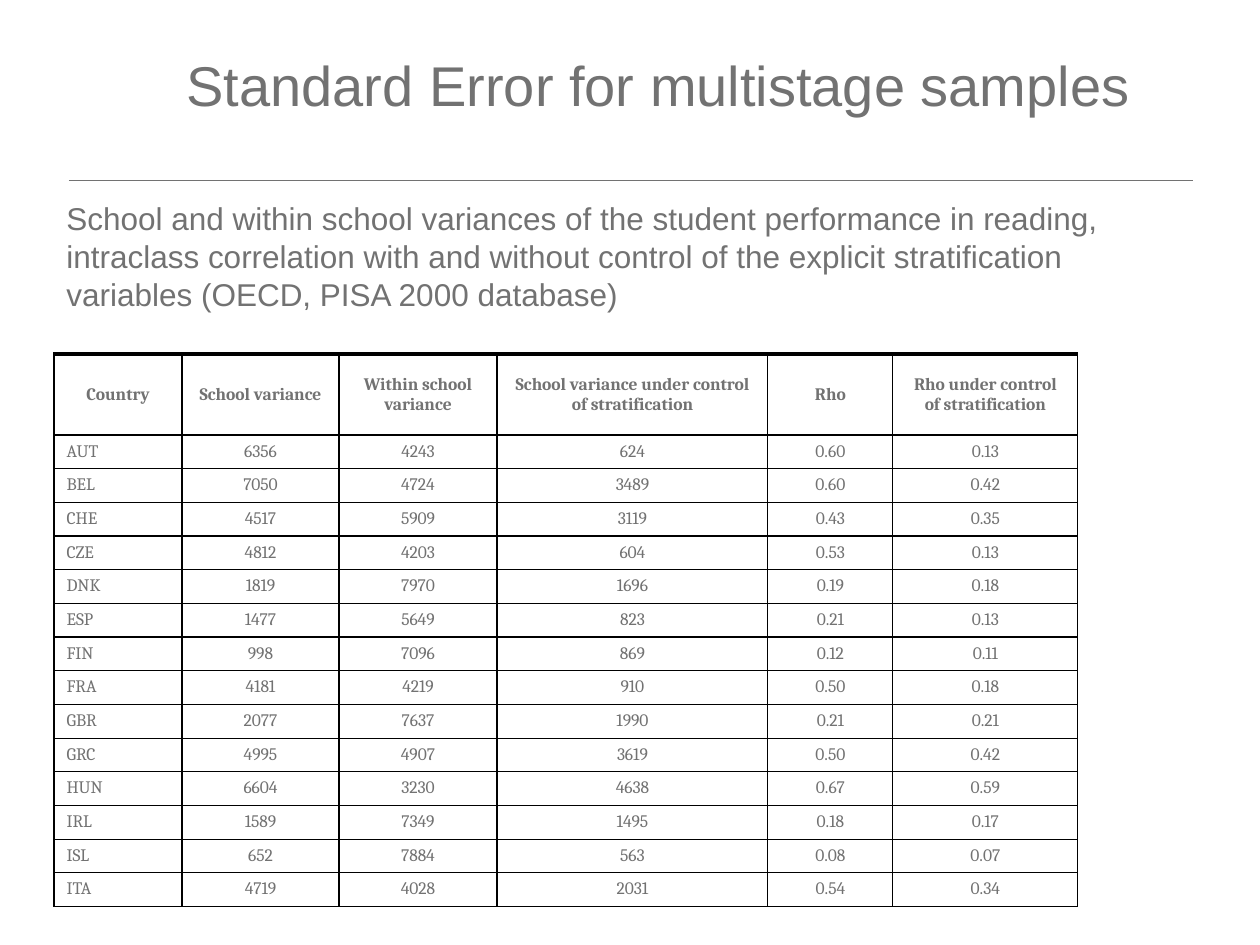
"""Build a slide with a table of school variances by country."""
from lxml import etree
from pptx import Presentation
from pptx import util as u
from pptx.dml.color import RGBColor
from pptx.enum import shapes, text
from pptx.oxml import ns

PX = 914400 // 126
GREY = "727272"
COLUMN_WIDTHS = [128, 157, 158, 271, 125, 185]
HEADER_HEIGHT, ROW_HEIGHT, TABLE_HEIGHT = 81, 27, 551
HEADERS = ["Country", "School variance", "Within school variance",
           "School variance under control of stratification", "Rho",
           "Rho under control of stratification"]
COUNTRIES = """AUT 6356 4243 624 0.60 0.13
BEL 7050 4724 3489 0.60 0.42
CHE 4517 5909 3119 0.43 0.35
CZE 4812 4203 604 0.53 0.13
DNK 1819 7970 1696 0.19 0.18
ESP 1477 5649 823 0.21 0.13
FIN 998 7096 869 0.12 0.11
FRA 4181 4219 910 0.50 0.18
GBR 2077 7637 1990 0.21 0.21
GRC 4995 4907 3619 0.50 0.42
HUN 6604 3230 4638 0.67 0.59
IRL 1589 7349 1495 0.18 0.17
ISL 652 7884 563 0.08 0.07
ITA 4719 4028 2031 0.54 0.34"""


def format_text(text_frame, font_name, size, color, alignment, bold=False):
    for paragraph in text_frame.paragraphs:
        paragraph.alignment = alignment
        for run in paragraph.runs:
            run.font.name = font_name
            run.font.size = u.Pt(size)
            run.font.bold = bold
            run.font.color.rgb = RGBColor.from_string(color)


def set_borders(cell, color, widths):
    properties = cell._tc.get_or_add_tcPr()
    for position, (side, width) in enumerate(widths.items()):
        line = etree.Element(ns.qn(f"a:ln{side}"), w=str(u.Pt(width)))
        fill = etree.SubElement(line, ns.qn("a:solidFill"))
        etree.SubElement(fill, ns.qn("a:srgbClr"), val=color)
        properties.insert(position, line)


presentation = Presentation()
presentation.slide_width = 1260 * PX
presentation.slide_height = 945 * PX
slide = presentation.slides.add_slide(presentation.slide_layouts[5])

rule = slide.shapes.add_connector(
    shapes.MSO_CONNECTOR.STRAIGHT, 69 * PX, 180 * PX, 1193 * PX, 180 * PX)
rule.line.color.rgb = RGBColor.from_string(GREY)
rule.line.width = u.Pt(0.5)
etree.SubElement(rule._element.spPr, ns.qn("a:effectLst"))

caption = slide.shapes.add_textbox(54 * PX, 191 * PX, 1062 * PX, 158 * PX)
caption_frame = caption.text_frame
caption_frame.word_wrap = True
caption_frame.vertical_anchor = text.MSO_ANCHOR.MIDDLE
caption_frame.margin_bottom = 34 * PX
caption_frame.text = (
    "School and within school variances of the student performance in reading, "
    "intraclass correlation with and without control of the explicit "
    "stratification variables (OECD, PISA 2000 database)")
format_text(caption_frame, "Arial", 18, GREY, text.PP_ALIGN.LEFT)

rows = [HEADERS] + [line.split() for line in COUNTRIES.splitlines()]
table_frame = slide.shapes.add_table(
    len(rows), len(HEADERS), 54 * PX, 354 * PX,
    sum(COLUMN_WIDTHS) * PX, TABLE_HEIGHT * PX)
table = table_frame.table
table.first_row = False
table.horz_banding = False
for column, width in zip(table.columns, COLUMN_WIDTHS):
    column.width = width * PX

for row_index, values in enumerate(rows):
    is_header = row_index == 0
    table.rows[row_index].height = (HEADER_HEIGHT if is_header else ROW_HEIGHT) * PX
    top = {0: 2, 1: 1}.get(row_index, 0.75)
    bottom = 1 if is_header else 0.75
    for column_index, value in enumerate(values):
        cell = table.cell(row_index, column_index)
        cell.text_frame.text = value
        cell.fill.background()
        if is_header:
            cell.vertical_anchor = text.MSO_ANCHOR.MIDDLE
        centered = is_header or column_index > 0
        alignment = text.PP_ALIGN.CENTER if centered else text.PP_ALIGN.LEFT
        format_text(cell.text_frame, "Cambria", 10, GREY, alignment, is_header)
        set_borders(cell, "000000", {"L": 0.75, "R": 0.75, "T": top, "B": bottom})
table_frame.height = TABLE_HEIGHT * PX

title = slide.shapes.title
title.left, title.top = 174 * PX, 34 * PX
title.width, title.height = 1005 * PX, 101 * PX
title.text_frame.text = "Standard Error for multistage samples"
title.text_frame.auto_size = text.MSO_AUTO_SIZE.NONE
title.text_frame.vertical_anchor = text.MSO_ANCHOR.MIDDLE
format_text(title.text_frame, "Arial", 32, GREY, text.PP_ALIGN.LEFT)

presentation.save("out.pptx")
